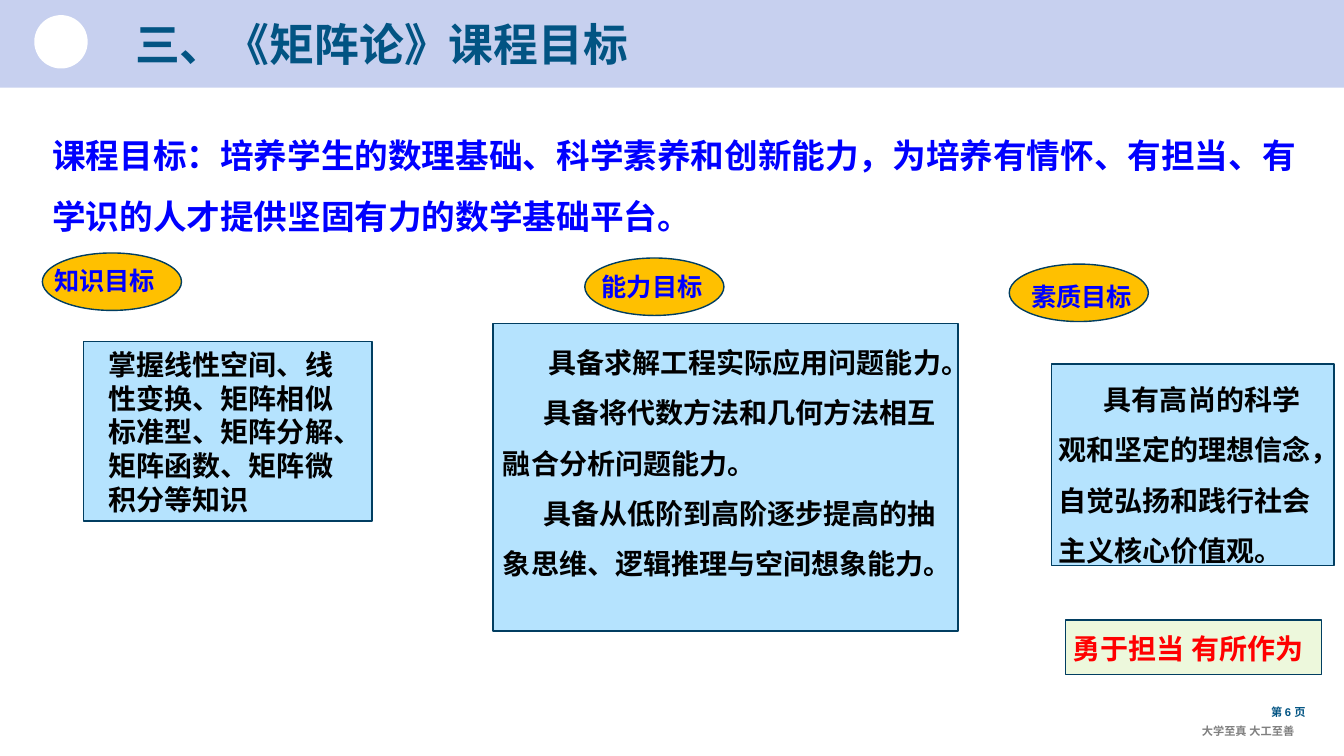
from pptx import Presentation
from pptx.dml.color import RGBColor
from pptx.enum.shapes import MSO_SHAPE
from pptx.enum.text import MSO_ANCHOR, MSO_AUTO_SIZE, PP_ALIGN
from pptx.oxml.ns import qn
from pptx.util import Inches, Pt
from lxml.etree import SubElement

TITLE = "三、《矩阵论》课程目标"
AIM = ["课程目标：",
       "培养学生的数理基础、科学素养和创新能力，为培养有情怀、有担当、有学识的人才提供坚固有力的数学基础平台。"]
# Each goal: label, oval (left, top), label (left, top), panel box, text box,
# style, paragraphs as (first-line indent, text)
GOALS = [
    ("知识目标", (0.42, 2.51), (0.44, 2.58), (0.83, 3.39, 2.86, 1.78),
     (0.98, 3.4, 2.5, 1.78), "knowledge",
     [(0, "掌握线性空间、线性变换、矩阵相似标准型、矩阵分解、矩阵函数、矩阵微积分等知识")]),
    ("能力目标", (5.8, 2.56), (5.87, 2.64), (4.89, 3.21, 4.61, 3.05),
     (4.89, 3.21, 4.61, 2.55), "ability",
     [(0.45, "具备求解工程实际应用问题能力。"),
      (0.4, "具备将代数方法和几何方法相互融合分析问题能力。"),
      (0.4, "具备从低阶到高阶逐步提高的抽象思维、逻辑推理与空间想象能力。")]),
    ("素质目标", (10.01, 2.62), (10.13, 2.74), (10.43, 3.61, 2.8, 2),
     (10.4, 3.58, 2.75, 2.06), "quality",
     [(0.45, "具有高尚的科学观和坚定的理想信念，自觉弘扬和践行社会主义核心价值观。")]),
]
MOTTO = "勇于担当 有所作为"
PAGE_NUMBER = "第 6 页"
SCHOOL_MOTTO = "大学至真 大工至善"

OVAL_SIZE = (1.38, 0.57)
LABEL_SIZE = (1.21, 0.4)
CJK = "Noto Sans CJK SC"
THEME = {
    "band": "C7D0EF", "dot": "FFFFFF", "oval": "FFC000",
    "panel": "B5E3FE", "motto": "EDF8DC", "outline": "013E61",
    # text styles: size, colour, font, line spacing
    "text": {
        "title": (32, "025483", CJK, 1),
        "aim": (24, "0000FF", CJK, 1.5),
        "label": (18, "0000FF", CJK, 1),
        "knowledge": (20, "000000", "Times New Roman", 1),
        "ability": (20, "000000", CJK, 1.5),
        "quality": (20, "000000", "Times New Roman", 1.5),
        "motto": (20, "FF0000", "Times New Roman", 1.5),
        "number": (8, "025483", "Arial", 1),
        "school": (8, "808080", "Arial", 1),
    },
}


def add_panel(page, box, fill, kind=MSO_SHAPE.RECTANGLE, outlined=True):
    shape = page.shapes.add_shape(kind, *map(Inches, box))
    shape.shadow.inherit = False
    shape.fill.solid()
    shape.fill.fore_color.rgb = RGBColor.from_string(THEME[fill])
    if outlined:
        shape.line.color.rgb = RGBColor.from_string(THEME["outline"])
        shape.line.width = Pt(1)
    else:
        shape.line.fill.background()


def write(shape, style, paragraphs, align=PP_ALIGN.LEFT, **frame_format):
    """Fill a shape with (indent, text or list of span texts) paragraphs."""
    size, colour, font_name, spacing = THEME["text"][style]
    frame = shape.text_frame
    settings = {"word_wrap": True, "auto_size": MSO_AUTO_SIZE.NONE, **frame_format}
    for name, value in settings.items():
        setattr(frame, name, value)
    for index, (indent, spans) in enumerate(paragraphs):
        para = frame.add_paragraph() if index else frame.paragraphs[0]
        para.alignment = align
        para.line_spacing = spacing
        if indent:
            para._p.get_or_add_pPr().set("indent", str(Inches(indent)))
        for text in [spans] if isinstance(spans, str) else spans:
            span = para.add_run()
            span.text = text
            for name, value in {"size": Pt(size), "bold": True, "name": font_name}.items():
                setattr(span.font, name, value)
            span.font.color.rgb = RGBColor.from_string(colour)
            SubElement(span._r.get_or_add_rPr(), qn("a:ea"), typeface=CJK)


def add_text(page, box, style, paragraphs, **options):
    write(page.shapes.add_textbox(*map(Inches, box)), style, paragraphs, **options)


def add_title(page):
    title = page.shapes.title
    title.left, title.top, title.width, title.height = map(Inches, (1.24, 0.12, 5.14, 0.64))
    write(title, "title", [(0, TITLE)], word_wrap=False, vertical_anchor=MSO_ANCHOR.TOP)
    title.element.getparent().append(title.element)  # in front of the band


def add_goal(page, label, oval_at, label_at, panel, text_box, style, paragraphs):
    add_panel(page, panel, "panel")
    add_panel(page, oval_at + OVAL_SIZE, "oval", MSO_SHAPE.OVAL)
    add_text(page, label_at + LABEL_SIZE, "label", [(0, label)], word_wrap=False)
    add_text(page, text_box, style, paragraphs)


def add_footer(page):
    margins = {f"margin_{side}": 0 for side in ("left", "top", "right", "bottom")}
    for top, height, style, text, align in [
        (6.98, 0.16, "number", PAGE_NUMBER, PP_ALIGN.RIGHT),
        (7.19, 0.13, "school", SCHOOL_MOTTO, PP_ALIGN.JUSTIFY),
    ]:
        add_text(page, (11.92, top, 1.03, height), style, [(0, text)], align=align,
                 vertical_anchor=MSO_ANCHOR.MIDDLE, **margins)


def main():
    deck = Presentation()
    deck.slide_width, deck.slide_height = Inches(13.33), Inches(7.5)
    page = deck.slides.add_slide(deck.slide_layouts[5])
    add_panel(page, (0, -0.02, 13.33, 0.89), "band", outlined=False)
    add_panel(page, (0.34, 0.15, 0.53, 0.53), "dot", MSO_SHAPE.OVAL, outlined=False)
    add_title(page)
    add_text(page, (0.42, 1.09, 12.69, 1.24), "aim", [(0, AIM)])
    for goal in GOALS:
        add_goal(page, *goal)
    add_panel(page, (10.57, 6.15, 2.54, 0.54), "motto")
    add_text(page, (10.21, 6.05, 2.95, 0.54), "motto", [(0.33, MOTTO)])
    add_footer(page)
    deck.save("out.pptx")


if __name__ == "__main__":
    main()
